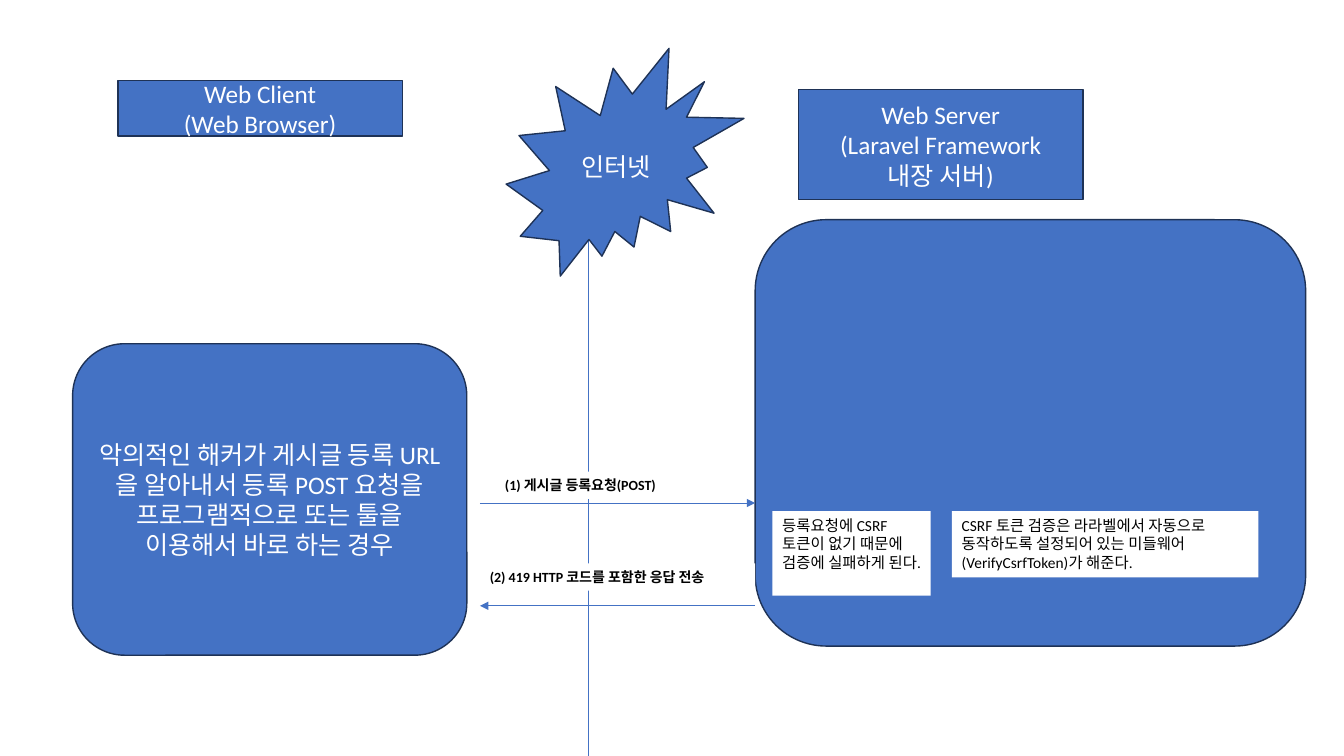
from lxml import etree
from pptx import Presentation
from pptx.dml.color import RGBColor
from pptx.enum.shapes import MSO_CONNECTOR, MSO_SHAPE
from pptx.enum.text import MSO_ANCHOR, MSO_AUTO_SIZE, PP_ALIGN
from pptx.oxml.ns import qn
from pptx.util import Inches, Pt

RECT = MSO_SHAPE.RECTANGLE
ROUND_RECT = MSO_SHAPE.ROUNDED_RECTANGLE
BURST = MSO_SHAPE.EXPLOSION2
STRAIGHT = MSO_CONNECTOR.STRAIGHT
MIDDLE = MSO_ANCHOR.MIDDLE
FIT_TEXT = MSO_AUTO_SIZE.SHAPE_TO_FIT_TEXT
CENTER = PP_ALIGN.CENTER
LEFT = PP_ALIGN.LEFT

BLUE = RGBColor(0x44, 0x72, 0xC4)
NAVY = RGBColor(0x1E, 0x32, 0x56)
WHITE = RGBColor(0xFF, 0xFF, 0xFF)
BLACK = RGBColor(0x00, 0x00, 0x00)


class Diagram:
    font = "Calibri"

    def __init__(self, slide):
        self.slide = slide

    def set_text(self, tf, text, size, color, align, bold=False):
        tf.word_wrap = True
        tf.text = text
        for p in tf.paragraphs:
            p.alignment = align
            for r in p.runs:
                r.font.name = self.font
                r.font.size = Pt(size)
                r.font.bold = bold
                r.font.color.rgb = color

    def block(self, kind, x, y, w, h, text=""):
        sp = self.slide.shapes.add_shape(kind, Inches(x), Inches(y), Inches(w), Inches(h))
        sp.shadow.inherit = False
        sp.fill.solid()
        sp.fill.fore_color.rgb = BLUE
        sp.line.color.rgb = NAVY
        sp.line.width = Pt(1)
        sp.text_frame.vertical_anchor = MIDDLE
        if text:
            self.set_text(sp.text_frame, text, 18, WHITE, CENTER)

    def label(self, x, y, w, h, text, size, bold=False):
        sp = self.slide.shapes.add_textbox(Inches(x), Inches(y), Inches(w), Inches(h))
        sp.fill.solid()
        sp.fill.fore_color.rgb = WHITE
        self.set_text(sp.text_frame, text, size, BLACK, LEFT, bold)
        sp.text_frame.auto_size = FIT_TEXT

    def line(self, x1, y1, x2, y2, arrow=False):
        cxn = self.slide.shapes.add_connector(
            STRAIGHT, Inches(x1), Inches(y1), Inches(x2), Inches(y2))
        cxn.line.color.rgb = BLUE
        cxn.line.width = Pt(0.5)
        sp_pr = cxn._element.spPr
        if arrow:
            etree.SubElement(sp_pr.find(qn("a:ln")), qn("a:tailEnd"), type="triangle")
        etree.SubElement(sp_pr, qn("a:effectLst"))


def main():
    prs = Presentation()
    prs.slide_width = Inches(13.33)
    prs.slide_height = Inches(7.5)
    d = Diagram(prs.slides.add_slide(prs.slide_layouts[6]))

    client_edge, server_edge = 4.76, 7.49

    d.line(5.84, 1.08, 5.84, 7.5)
    d.block(BURST, 5.02, 0.48, 2.36, 2.26, "인터넷")
    d.block(ROUND_RECT, 0.72, 3.41, 3.91, 3.09,
            "악의적인 해커가 게시글 등록 URL을 알아내서 등록 POST 요청을 "
            "프로그램적으로 또는 툴을 이용해서 바로 하는 경우")
    d.block(ROUND_RECT, server_edge, 2.18, 5.46, 4.23)
    d.block(RECT, 1.17, 0.8, 2.82, 0.55, "Web Client\n(Web Browser)")
    d.block(RECT, 7.92, 0.89, 2.82, 1.09, "Web Server\n(Laravel Framework\n내장 서버)")

    d.line(client_edge, 4.99, server_edge, 4.99, arrow=True)
    d.label(4.91, 4.68, 2.41, 0.27, "(1) 게시글 등록요청(POST)", 10, bold=True)
    d.line(server_edge, 6.01, client_edge, 6.01, arrow=True)
    d.label(7.66, 5.07, 1.57, 0.84,
            "등록요청에 CSRF 토큰이 없기 때문에 검증에 실패하게 된다.", 11)
    d.label(9.44, 5.07, 3.04, 0.66,
            "CSRF 토큰 검증은 라라벨에서 자동으로 동작하도록 설정되어 있는 "
            "미들웨어(VerifyCsrfToken)가 해준다.", 11)
    d.label(client_edge, 5.59, 2.73, 0.27,
            "(2) 419 HTTP 코드를 포함한 응답 전송", 10, bold=True)

    prs.save("out.pptx")


if __name__ == "__main__":
    main()
